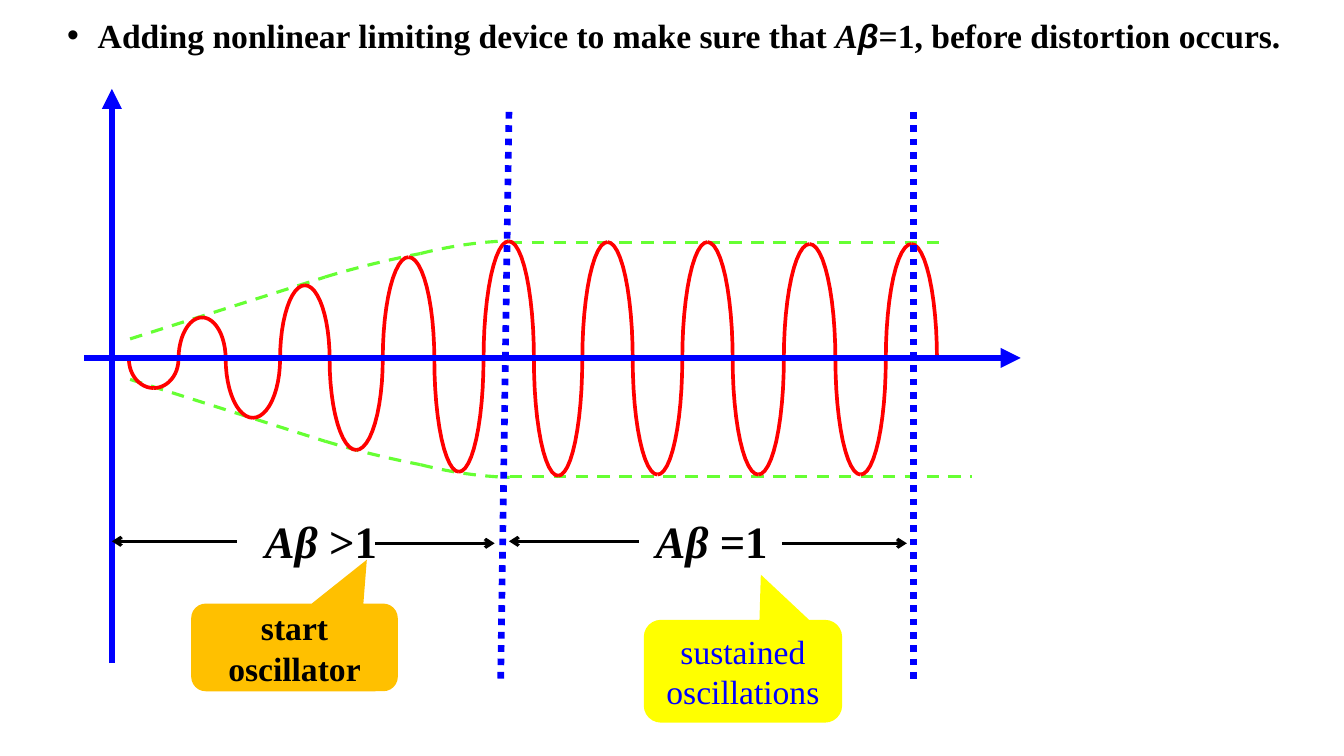
from itertools import pairwise
from math import cos, pi, sin

from lxml import etree
from pptx import Presentation
from pptx.dml.color import RGBColor
from pptx.enum.dml import MSO_LINE
from pptx.enum.shapes import MSO_CONNECTOR, MSO_SHAPE
from pptx.enum.text import MSO_ANCHOR, MSO_AUTO_SIZE, PP_ALIGN
from pptx.oxml.ns import qn
from pptx.util import Cm, Pt

DASH, DOT = MSO_LINE.DASH, MSO_LINE.ROUND_DOT
STRAIGHT = MSO_CONNECTOR.STRAIGHT
CALLOUT = MSO_SHAPE.ROUNDED_RECTANGULAR_CALLOUT
TOP, MIDDLE = MSO_ANCHOR.TOP, MSO_ANCHOR.MIDDLE
LEFT, CENTER = PP_ALIGN.LEFT, PP_ALIGN.CENTER
NO_AUTOFIT = MSO_AUTO_SIZE.NONE

SERIF = "Times New Roman"
COLORS = {
    "black": "000000", "blue": "0000FF", "red": "FF0000",
    "green": "66FF33", "orange": "FFC000", "yellow": "FFFF00",
}

# Signal geometry in centimetres
MIDLINE = 9.05
CROSSINGS = [3.25, 4.5, 5.69, 7.06, 8.31, 9.65, 10.95, 12.19, 13.46,
             14.68, 15.95, 17.2, 18.47, 19.76, 21.06, 22.33, 23.62]
PEAKS = [9.78, 8, 10.53, 7.19, 11.34, 6.48, 11.89, 6.08, 11.99,
         6.1, 11.96, 6.1, 11.96, 6.15, 11.96, 6.15]
# Start, control and end of each envelope bend, as x and distance from midline
BENDS = [((8.2, 2.07), (9.4, 2.43), (10.6, 2.66)),
         ((10.6, 2.66), (11.75, 2.95), (12.85, 2.98))]
STEPS = 12


def color(name):
    return RGBColor.from_string(COLORS[name])


def format_line(line, color_name, width, dash=None):
    line.color.rgb = color(color_name)
    line.width = Pt(width)
    if dash is not None:
        line.dash_style = dash


def format_run(run, size, color_name="black", bold=True, italic=False, font=SERIF):
    run.font.name = font
    run.font.size = Pt(size)
    run.font.bold = bold
    run.font.italic = italic
    run.font.color.rgb = color(color_name)


def add_line(slide, start, end, color_name, width, dash=None, arrowhead=None):
    connector = slide.shapes.add_connector(
        STRAIGHT, *[Cm(value) for value in (*start, *end)])
    format_line(connector.line, color_name, width, dash)
    properties = connector.element.spPr
    if arrowhead:
        outline = properties.find(qn("a:ln"))
        etree.SubElement(outline, qn("a:tailEnd"), type=arrowhead)
    etree.SubElement(properties, qn("a:effectLst"))


def add_curve(slide, points, color_name, width, dash=None):
    first, *others = [(Cm(x), Cm(y)) for x, y in points]
    builder = slide.shapes.build_freeform(*first)
    builder.add_line_segments(others, close=False)
    shape = builder.convert_to_shape()
    shape.shadow.inherit = False
    shape.fill.background()
    format_line(shape.line, color_name, width, dash)


def add_quarter_wave(slide, crossing, center, peak):
    angles = [pi / 2 * step / STEPS for step in range(STEPS + 1)]
    points = [(center + (crossing - center) * sin(angle),
               MIDLINE + (peak - MIDLINE) * cos(angle)) for angle in angles]
    add_curve(slide, points, "red", 2.64)


def add_envelope(slide, side, end):
    """Draw one edge: side is -1 above the midline and 1 below it."""
    def place(x, offset):
        return x, MIDLINE + side * offset

    add_line(slide, place(3.28, 0.51), place(8.2, 2.07), "green", 2.25, DASH)
    for bend in BENDS:
        points = []
        for step in range(STEPS + 1):
            t = step / STEPS
            weights = ((1 - t) ** 2, 2 * t * (1 - t), t ** 2)
            x, offset = [sum(w * v for w, v in zip(weights, axis)) for axis in zip(*bend)]
            points.append(place(x, offset))
        add_curve(slide, points, "green", 2.25, DASH)
    add_line(slide, place(12.85, 2.95), place(end, 2.95), "green", 2.25, DASH)


def add_label(slide, left, width, relation):
    box = slide.shapes.add_textbox(Cm(left), Cm(12.83), Cm(width), Cm(1.63))
    box.text_frame.word_wrap = False
    paragraph = box.text_frame.paragraphs[0]
    paragraph.alignment = LEFT
    for text, italic in (("Aβ ", True), (relation, False)):
        run = paragraph.add_run()
        run.text = text
        format_run(run, 32, italic=italic)


def add_callout(slide, box, pointer, text, fill, text_color, bold):
    shape = slide.shapes.add_shape(CALLOUT, *[Cm(value) for value in box])
    shape.adjustments[0], shape.adjustments[1] = pointer
    shape.shadow.inherit = False
    shape.fill.solid()
    shape.fill.fore_color.rgb = color(fill)
    shape.line.fill.background()
    frame = shape.text_frame
    frame.word_wrap = True
    frame.vertical_anchor = MIDDLE
    frame.margin_left = frame.margin_right = frame.margin_top = frame.margin_bottom = 0
    frame.text = text
    frame.paragraphs[0].alignment = CENTER
    format_run(frame.paragraphs[0].runs[0], 24, text_color, bold)


def fill_title(slide):
    title = slide.shapes.title
    title.left, title.top = Cm(1.44), Cm(0.05)
    title.width, title.height = Cm(31.52), Cm(1.47)
    frame = title.text_frame
    frame.auto_size = NO_AUTOFIT
    frame.word_wrap = True
    frame.vertical_anchor = TOP
    paragraph = frame.paragraphs[0]
    paragraph.alignment = LEFT
    paragraph.line_spacing = 1.2
    for text, italic, font in (
        ("Adding nonlinear limiting device to make sure that ", False, SERIF),
        ("A", True, SERIF),
        ("β", True, "Arial"),
        ("=1, before distortion occurs.", False, SERIF),
    ):
        run = paragraph.add_run()
        run.text = text
        format_run(run, 24, italic=italic, font=font)

    # Bullet with a hanging indent
    properties = paragraph._p.get_or_add_pPr()
    properties.set("marL", str(Cm(0.77)))
    properties.set("indent", str(-Cm(0.77)))
    etree.SubElement(properties, qn("a:buFont"), typeface="Arial")
    etree.SubElement(properties, qn("a:buChar"), char="•")


def main():
    presentation = Presentation()
    presentation.slide_width, presentation.slide_height = Cm(33.88), Cm(19.05)
    slide = presentation.slides.add_slide(presentation.slide_layouts[5])
    fill_title(slide)

    # Envelope and growing oscillation
    add_envelope(slide, -1, 23.77)
    add_envelope(slide, 1, 24.51)
    for (left, right), peak in zip(pairwise(CROSSINGS), PEAKS):
        for crossing in (left, right):
            add_quarter_wave(slide, crossing, (left + right) / 2, peak)

    # Axes and phase boundaries
    for start, end in (((2.13, 9.02), (25.73, 9.02)), ((2.82, 16.71), (2.82, 2.24))):
        add_line(slide, start, end, "blue", 4.75, arrowhead="triangle")
    for top_x, bottom_x in ((12.83, 12.62), (23.02, 23.02)):
        add_line(slide, (top_x, 2.82), (bottom_x, 17.22), "blue", 4.75, DOT)

    # Phase spans, each arrow pointing outwards
    for inner, outer, y in ((5.97, 2.82, 13.64), (9.45, 12.47, 13.69),
                            (16.1, 12.83, 13.64), (19.71, 22.86, 13.69)):
        add_line(slide, (inner, y), (outer, y), "black", 2.25, arrowhead="arrow")
    add_label(slide, 6.43, 3.33, ">1")
    add_label(slide, 16.28, 4.14, "=1")

    # Callouts
    add_callout(slide, (4.82, 15.21, 5.21, 2.21), (0.35, -1),
                "start oscillator", "orange", "black", True)
    add_callout(slide, (16.23, 15.62, 5, 2.59), (0.09, -0.94),
                "sustained oscillations", "yellow", "blue", False)

    presentation.save("out.pptx")


if __name__ == "__main__":
    main()
